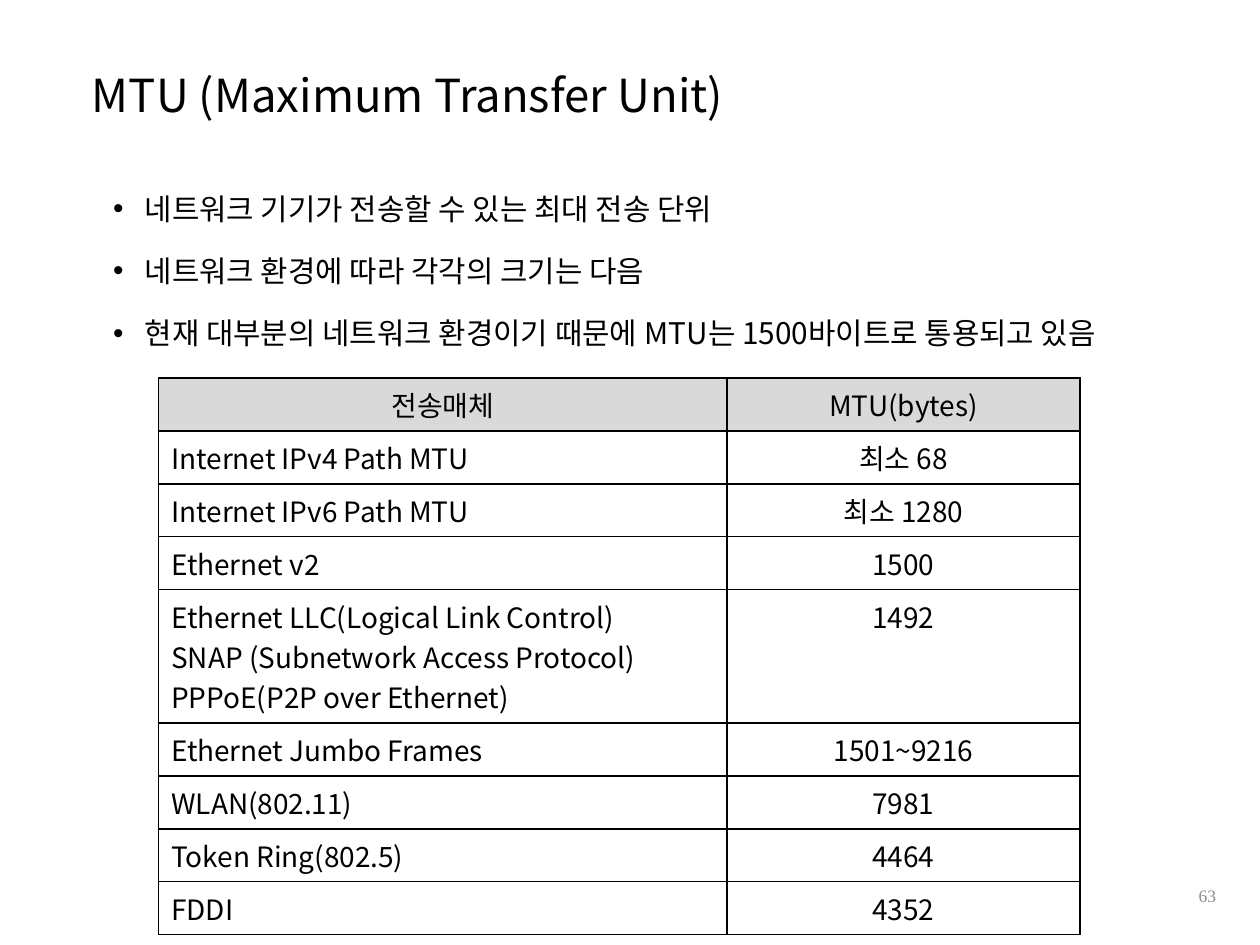
from pptx import Presentation
from pptx import util as u
from pptx.dml.color import RGBColor
from pptx.enum import text
from pptx.oxml import parse_xml
from pptx.oxml.ns import nsdecls, qn

FONT = "Noto Sans CJK KR"
BLACK, GRAY, HEADER = "000000", "8C8C8C", "D9D9D9"
CENTER = text.PP_ALIGN.CENTER

BULLETS = [
    "네트워크 기기가 전송할 수 있는 최대 전송 단위",
    "네트워크 환경에 따라 각각의 크기는 다음",
    "현재 대부분의 네트워크 환경이기 때문에 MTU는 1500바이트로 통용되고 있음",
]
MTU_ROWS = [
    ("전송매체", "MTU(bytes)"),
    ("Internet IPv4 Path MTU", "최소 68"),
    ("Internet IPv6 Path MTU", "최소 1280"),
    ("Ethernet v2", "1500"),
    ("Ethernet LLC(Logical Link Control)\n"
     "SNAP (Subnetwork Access Protocol)\n"
     "PPPoE(P2P over Ethernet)", "1492"),
    ("Ethernet Jumbo Frames", "1501~9216"),
    ("WLAN(802.11)", "7981"),
    ("Token Ring(802.5)", "4464"),
    ("FDDI", "4352"),
]
COLUMN_WIDTHS = (4.51, 2.8)
# A row is one line plus padding; each further line adds the line height
ROW_HEIGHT, LINE_HEIGHT = 0.42, 0.32
ROW_HEIGHTS = [ROW_HEIGHT + LINE_HEIGHT * medium.count("\n")
               for medium, _ in MTU_ROWS]


def color(value):
    return RGBColor.from_string(value)


def write_text(frame, content, size, font=FONT, fill=BLACK, align=None,
               indent=0, hanging=0, bullet=None, line_spacing=None, gap=None):
    """Write each line of content as one formatted paragraph."""
    for index, line in enumerate(content.split("\n")):
        paragraph = frame.paragraphs[0] if index == 0 else frame.add_paragraph()
        properties = paragraph._p.get_or_add_pPr()
        if indent:
            properties.set("marL", str(u.Inches(indent)))
            properties.set("indent", str(u.Inches(-hanging)))
        if bullet:
            properties.append(parse_xml(
                f'<a:buFont {nsdecls("a")} typeface="Arial"/>'))
            properties.append(parse_xml(
                f'<a:buChar {nsdecls("a")} char="{bullet}"/>'))
        if align is not None:
            paragraph.alignment = align
        if line_spacing:
            paragraph.line_spacing = line_spacing
        if gap and index:
            paragraph.space_before = u.Pt(gap)
        run = paragraph.add_run()
        run.text = line
        run.font.size = u.Pt(size)
        run.font.name = font
        run.font.color.rgb = color(fill)
        # Hangul takes the East Asian typeface
        run.font._element.find(qn("a:latin")).addnext(
            parse_xml(f'<a:ea {nsdecls("a")} typeface="{font}"/>'))


def add_text(slide, box, content, anchor=text.MSO_ANCHOR.TOP, **style):
    frame = slide.shapes.add_textbox(*map(u.Inches, box)).text_frame
    frame.word_wrap = True
    frame.vertical_anchor = anchor
    write_text(frame, content, **style)


def set_borders(cell, line_color, width):
    properties = cell._tc.get_or_add_tcPr()
    for position, side in enumerate(("lnL", "lnR", "lnT", "lnB")):
        properties.insert(position, parse_xml(
            f'<a:{side} {nsdecls("a")} w="{u.Pt(width)}"><a:solidFill>'
            f'<a:srgbClr val="{line_color}"/></a:solidFill></a:{side}>'))


def add_mtu_table(slide, left, top):
    size = (sum(COLUMN_WIDTHS), sum(ROW_HEIGHTS))
    table = slide.shapes.add_table(
        len(MTU_ROWS), len(COLUMN_WIDTHS),
        *map(u.Inches, (left, top, *size))).table
    for column, width in zip(table.columns, COLUMN_WIDTHS):
        column.width = u.Inches(width)
    for row_index, values in enumerate(MTU_ROWS):
        table.rows[row_index].height = u.Inches(ROW_HEIGHTS[row_index])
        for column_index, value in enumerate(values):
            cell = table.cell(row_index, column_index)
            is_header = row_index == 0
            if is_header:
                cell.fill.solid()
                cell.fill.fore_color.rgb = color(HEADER)
            else:
                cell.fill.background()
            set_borders(cell, BLACK, 1)
            write_text(cell.text_frame, value, size=16,
                       align=CENTER if is_header or column_index else None)


def main():
    presentation = Presentation()
    presentation.slide_width = u.Inches(10)
    presentation.slide_height = u.Inches(7.5)
    slide = presentation.slides.add_slide(presentation.slide_layouts[6])

    # Page number
    add_text(slide, (7.5, 6.91, 2.25, 0.4), "63", size=10,
             font="Times New Roman", fill=GRAY, align=text.PP_ALIGN.RIGHT,
             anchor=text.MSO_ANCHOR.MIDDLE)
    # Title
    add_text(slide, (-0.03, 0.48, 6.05, 0.54), "MTU (Maximum Transfer Unit)",
             size=26, indent=0.66)
    # Bullet list
    add_text(slide, (0.3, 1.32, 9.7, 2.53), "\n".join(BULLETS), size=17,
             indent=0.75, hanging=0.25, bullet="•", line_spacing=1.5, gap=5)
    # MTU by transmission medium
    add_mtu_table(slide, 1.26, 3)

    presentation.save("out.pptx")


if __name__ == "__main__":
    main()
